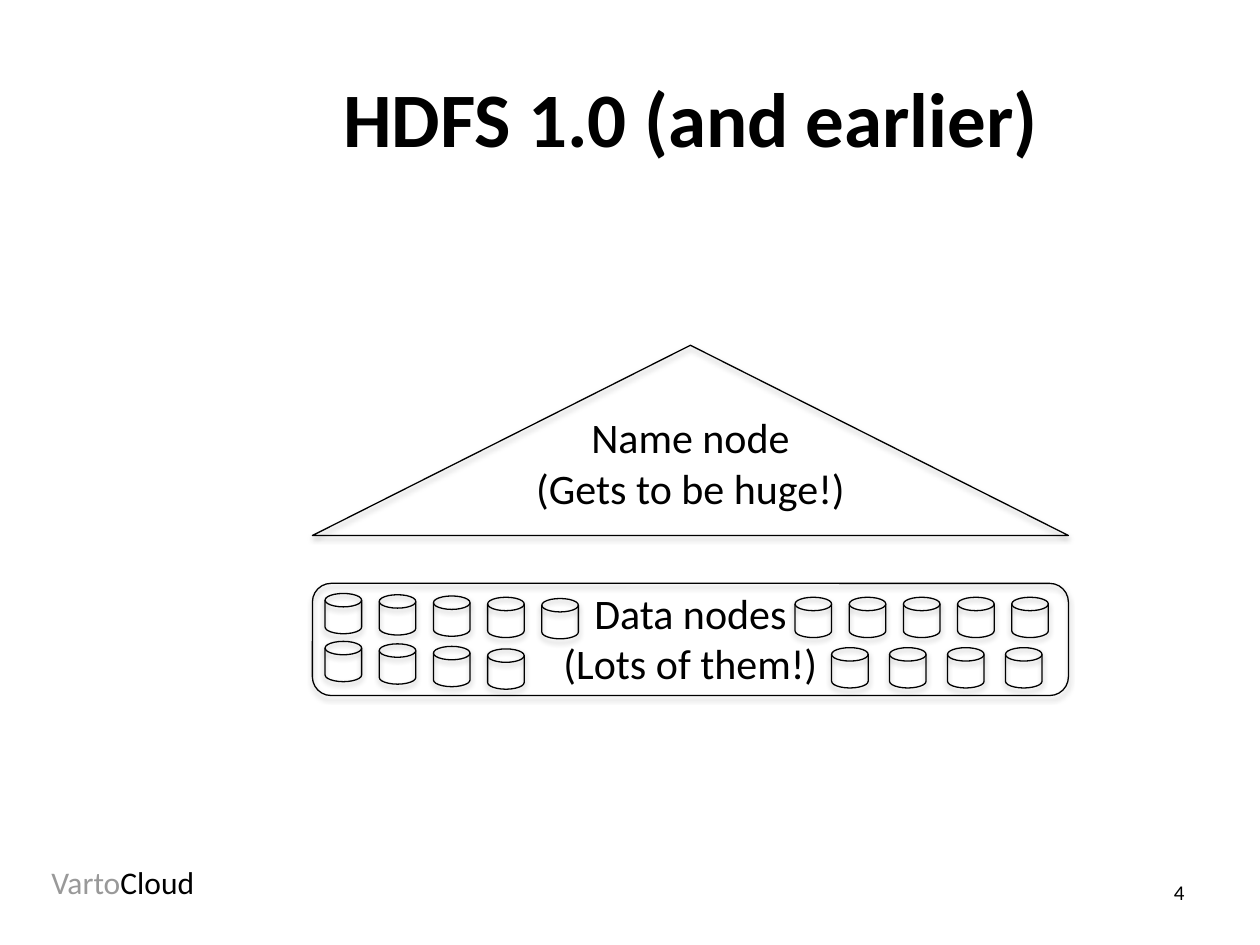
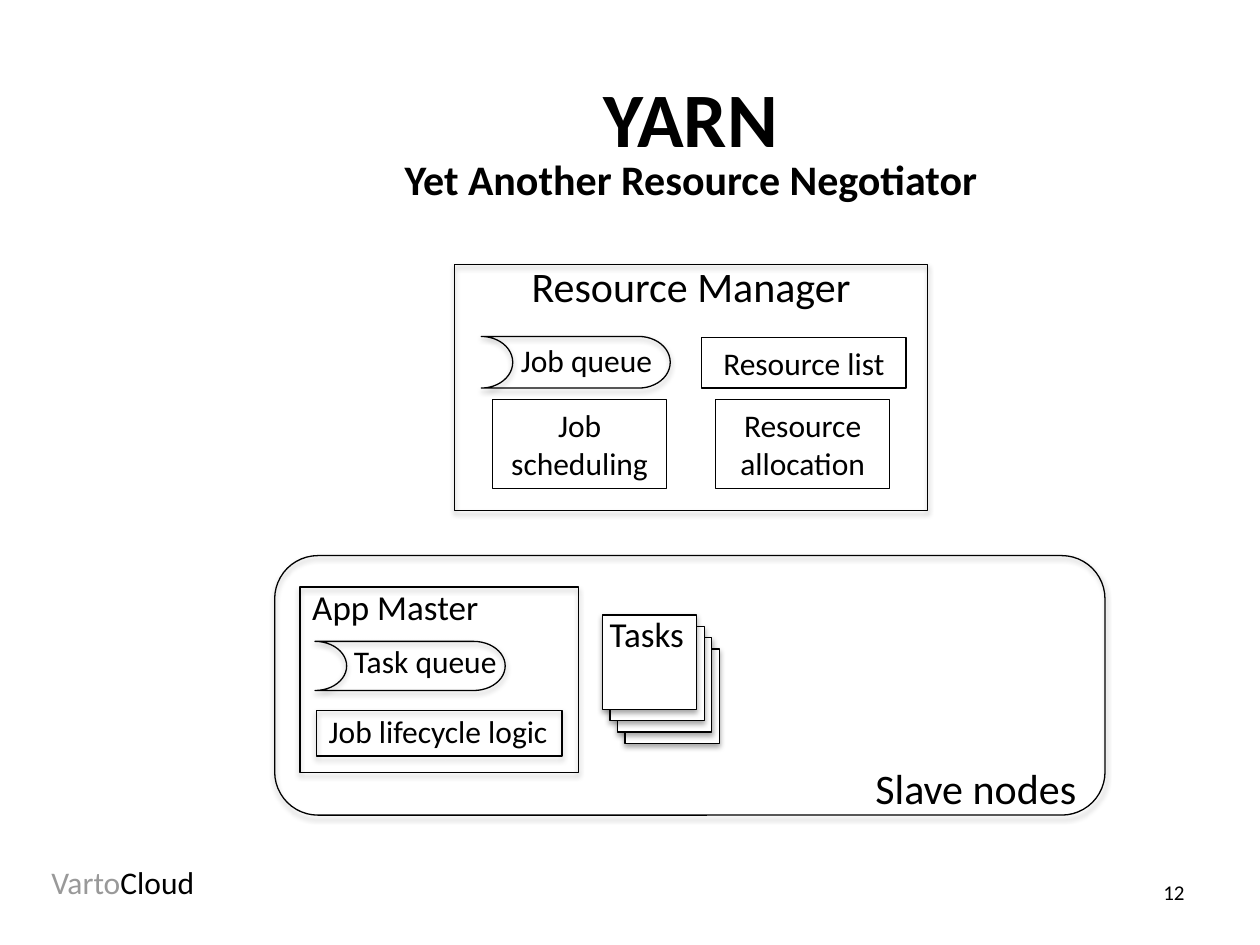
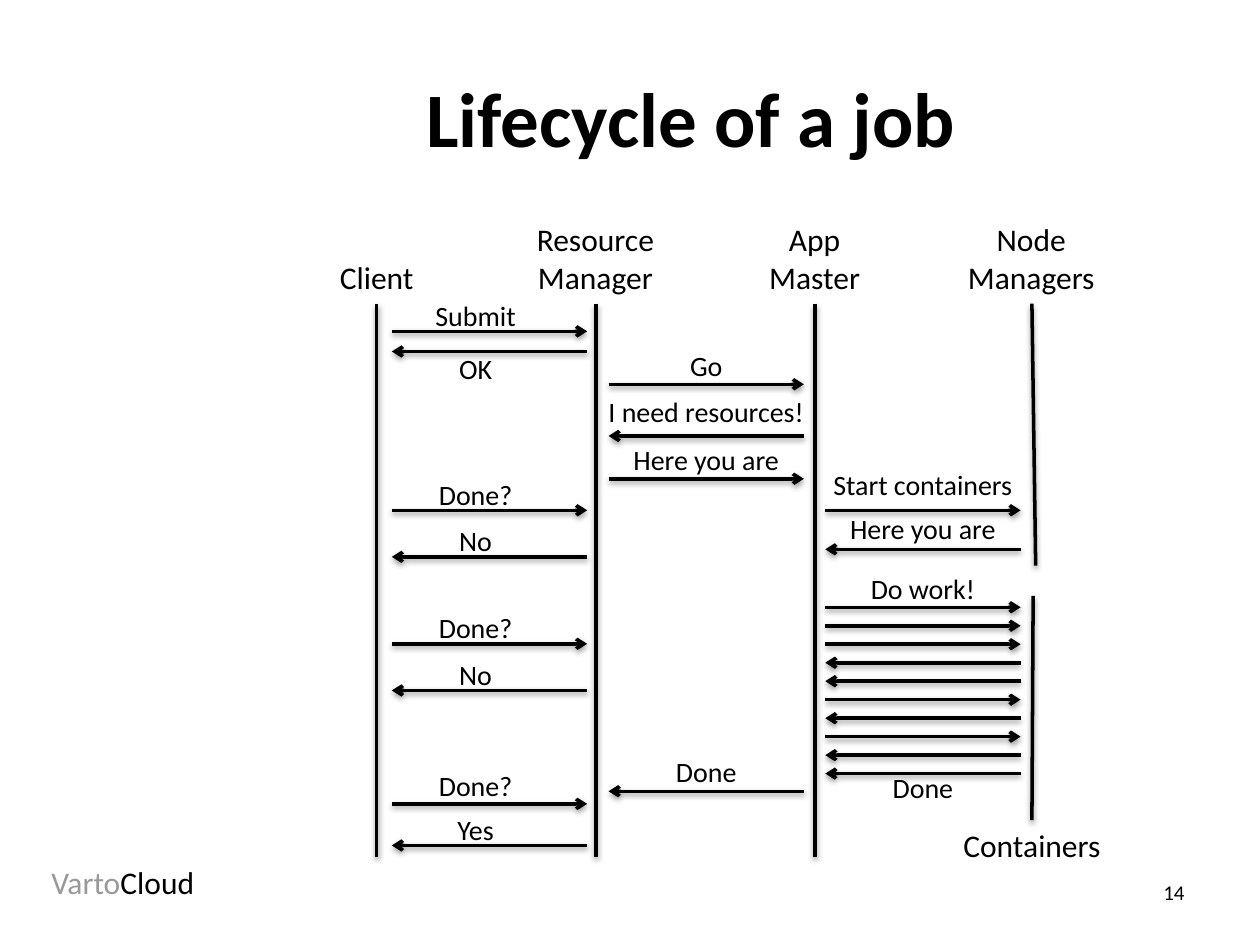
"""Build three slides on HDFS, YARN and the lifecycle of a job."""
from lxml import etree
from pptx import Presentation
from pptx import util as u
from pptx.dml.color import RGBColor
from pptx.enum import shapes, text
from pptx.oxml import ns

BLACK = RGBColor(0, 0, 0)
GREY = RGBColor(0x99, 0x99, 0x99)
WHITE = RGBColor(0xFF, 0xFF, 0xFF)
FONT = "Calibri"
KIND = shapes.MSO_SHAPE
LEFT, MID, RIGHT = text.PP_ALIGN.LEFT, text.PP_ALIGN.CENTER, text.PP_ALIGN.RIGHT


def ink(item, width, alpha=0, drop=0):
    item.line.color.rgb = BLACK
    item.line.width = u.Pt(width)
    effect = etree.SubElement(item._element.spPr, ns.qn("a:effectLst"))
    if alpha:
        shade = etree.SubElement(effect, ns.qn("a:outerShdw"), blurRad="40000",
                                 dist=str(drop), dir="5400000", rotWithShape="0")
        color = etree.SubElement(shade, ns.qn("a:srgbClr"), val=str(BLACK))
        etree.SubElement(color, ns.qn("a:alpha"), val=str(alpha * 1000))


def put(page, box, words="", size=18, side=MID, kind=None, wrap=True):
    place = [u.Inches(n) for n in box]
    if kind:
        item = page.shapes.add_shape(kind, *place)
        item.fill.background()
        ink(item, 0.75, 0 if words else 35, 23000)
    else:
        item = page.shapes.add_textbox(*place)
    frame = item.text_frame
    frame.word_wrap = wrap
    frame.text = words
    for para in frame.paragraphs:
        para.alignment = side
        for run in para.runs:
            run.font.name, run.font.size = FONT, u.Pt(size)
            run.font.color.rgb = BLACK
    return item


deck = Presentation()
deck.slide_width, deck.slide_height = u.Inches(10), u.Inches(7.5)

pages = []
for name, number in [("HDFS 1.0 (and earlier)", "4"), ("YARN", "12"),
                     ("Lifecycle of a job", "14")]:
    page = deck.slides.add_slide(deck.slide_layouts[5])
    pages.append(page)
    title = page.shapes.title
    title.left, title.top = u.Inches(1.47), u.Inches(0.3)
    title.width, title.height = u.Inches(8.03), u.Inches(1.25)
    title.text_frame.text = name
    title.text_frame.vertical_anchor = text.MSO_ANCHOR.MIDDLE
    para = title.text_frame.paragraphs[0]
    para.alignment = MID
    font = para.runs[0].font
    font.name, font.size, font.bold = FONT, u.Pt(44), True
    font.color.rgb = BLACK
    put(page, (8.95, 6.93, 0.55, 0.3), number, 12, RIGHT)
    brand = put(page, (0.31, 6.8, 1.5, 0.4), "Varto", 18, LEFT)
    para = brand.text_frame.paragraphs[0]
    para.runs[0].font.color.rgb = GREY
    run = para.add_run()
    run.text = "Cloud"
    run.font.name, run.font.size = FONT, u.Pt(18)
    run.font.color.rgb = BLACK

hdfs, yarn, life = pages

put(hdfs, (2.48, 2.74, 6, 1.51), kind=KIND.ISOSCELES_TRIANGLE)
put(hdfs, (2.48, 4.63, 6, 0.89), kind=KIND.ROUNDED_RECTANGLE)
put(hdfs, (4.36, 4.61, 2.24, 0.91), "Data nodes\n(Lots of them!)", 24, wrap=False)
put(hdfs, (4.14, 3.22, 2.68, 0.91), "Name node\n(Gets to be huge!)", 24, wrap=False)
for x, y, count, across, down in [(2.58, 4.71, 5, 0.43, 0.01), (2.58, 5.09, 4, 0.43, 0.02),
                                  (6.6, 5.14, 4, 0.46, 0), (6.31, 4.74, 5, 0.43, 0)]:
    for i in range(count):
        put(hdfs, (x + i * across, y + i * down, 0.29, 0.32),
            kind=KIND.FLOWCHART_MAGNETIC_DISK)

for box, kind in [((3.61, 2.1, 3.75, 1.95), KIND.RECTANGLE),
                  ((2.18, 4.41, 6.59, 2.06), KIND.ROUNDED_RECTANGLE),
                  ((2.38, 4.66, 2.21, 1.47), KIND.RECTANGLE),
                  ((2.51, 5.64, 1.95, 0.36), KIND.RECTANGLE)]:
    put(yarn, box, kind=kind)
for box in [(3.82, 2.67, 1.5, 0.41), (2.5, 5.09, 1.51, 0.39)]:
    queue = put(yarn, box, kind=KIND.FLOWCHART_STORED_DATA)
    queue._element.spPr.xfrm.set("flipH", "1")
for i in reversed(range(4)):
    task = put(yarn, (4.78 + i * 0.06, 4.88 + i * 0.09, 0.75, 0.75), kind=KIND.RECTANGLE)
    task.fill.solid()
    task.fill.fore_color.rgb = WHITE
for box, words in [((3.91, 3.17, 1.38, 0.71), "Job scheduling"),
                   ((5.68, 3.17, 1.38, 0.71), "Resource allocation"),
                   ((5.57, 2.68, 1.62, 0.4), "Resource list")]:
    put(yarn, box, words, kind=KIND.RECTANGLE)
for box, words, size, side, wrap in [
        ((6.82, 6, 1.82, 0.5), "Slave nodes", 24, RIGHT, False),
        ((4.03, 2.66, 1.25, 0.4), "Job queue", 18, MID, False),
        ((2.69, 5.05, 1.37, 0.4), "Task queue", 18, MID, False),
        ((3.61, 2.02, 3.75, 0.5), "Resource Manager", 24, MID, True),
        ((2.38, 4.6, 1.9, 0.44), "App Master", 20, LEFT, True),
        ((2.51, 5.6, 1.95, 0.4), "Job lifecycle logic", 18, LEFT, True),
        ((4.74, 4.81, 0.88, 0.44), "Tasks", 20, LEFT, True)]:
    put(yarn, box, words, size, side, wrap=wrap)
motto = put(yarn, (1.47, 1.17, 8.03, 0.5), "Yet Another Resource Negotiator", 24)
motto.text_frame.paragraphs[0].runs[0].font.bold = True

for box, words in [((2.59, 2, 0.8, 0.4), "Client"),
                   ((4.13, 1.7, 1.19, 0.71), "Resource Manager"),
                   ((5.87, 1.7, 1.19, 0.71), "App Master"),
                   ((7.5, 1.7, 1.37, 0.71), "Node Managers"),
                   ((7.34, 6.51, 1.7, 0.4), "Containers")]:
    put(life, box, words, wrap=words != "Client")

wires = [(x, 2.41, x, 6.8, False) for x in (2.99, 4.73, 6.47)]
wires += [(8.19, 2.41, 8.22, 4.49, False), (8.2, 4.73, 8.19, 6.51, False)]
calls = [(0, 2.63, ">", "Submit", 2.32), (0, 2.79, "<", "OK", 2.74),
         (0, 4.05, ">", "Done?", 3.74), (0, 4.42, "<", "No", 4.11),
         (0, 5.11, ">", "Done?", 4.8), (0, 5.48, "<", "No", 5.17),
         (0, 6.38, ">", "Done?", 6.05), (0, 6.71, "<", "Yes", 6.4),
         (1, 3.05, ">", "Go", 2.72), (1, 3.46, "<", "I need resources!", 3.08),
         (1, 3.8, ">", "Here you are", 3.46), (1, 6.28, "<", "Done", 5.94),
         (2, 4.05, ">", "Start containers", 3.66), (2, 4.36, "<", "Here you are", 4.01)]
work = {0: ("Do work!", 4.49), 9: ("Done", 6.07)}
for i, way in enumerate(">>><<><><<"):
    calls.append((2, 4.82 + i * 1.32 / 9, way, *work.get(i, ("", 0))))
for lane, y, way, words, top in calls:
    start = 3.11 + lane * 1.72
    ends = (start, start + 1.55) if way == ">" else (start + 1.55, start)
    wires.append((ends[0], y, ends[1], y, True))
    if words:
        put(life, ((2.86, 4.69, 6.41)[lane], top, 1.83, 0.37), words, 16)

for *ends, arrow in wires:
    wire = life.shapes.add_connector(shapes.MSO_CONNECTOR.STRAIGHT,
                                     *[u.Inches(n) for n in ends])
    ink(wire, 2, 38, 20000)
    if arrow:
        line = wire._element.spPr.find(ns.qn("a:ln"))
        etree.SubElement(line, ns.qn("a:tailEnd"), type="arrow")

deck.save("out.pptx")
